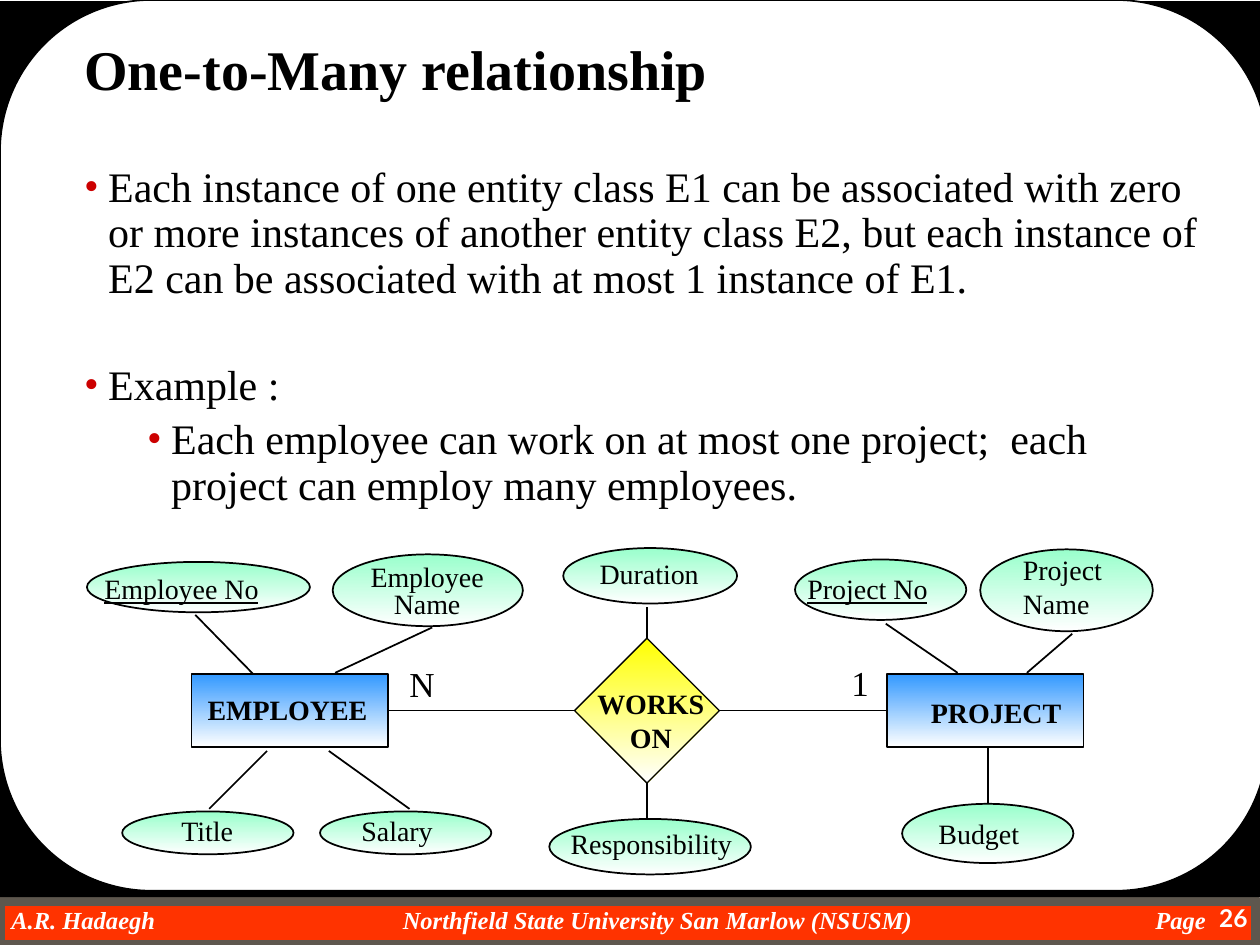
import lxml.etree
import pptx
import pptx.dml.color
import pptx.enum.shapes
import pptx.enum.text
import pptx.oxml.ns
import pptx.util

SHAPES = pptx.enum.shapes.MSO_SHAPE
ALIGN = pptx.enum.text.PP_ALIGN
TOP, LEFT, BOTTOM, RIGHT = range(4)
COLUMNS, ROWS = 100, 75
COLORS = {
    "black": "000000",
    "white": "FFFFFF",
    "footer": "FF3300",
    "footer edge": "5E574E",
    "bullet": "CC0000",
    "entity": "3399FF",
    "attribute": "99FFCC",
    "relationship": "FFFF00",
}


class Diagram:
    font_name = "Times New Roman"

    def __init__(self, presentation):
        self.column = presentation.slide_width / COLUMNS
        self.row = presentation.slide_height / ROWS
        self.slide = presentation.slides.add_slide(presentation.slide_layouts[6])

    def place(self, *lengths):
        units = (self.column, self.row) * 2
        return [round(length * unit) for length, unit in zip(lengths, units)]

    def color(self, name):
        return pptx.dml.color.RGBColor.from_string(COLORS[name])

    def shape(self, kind, box, fill, line=None, width=1, gradient=False):
        shape = self.slide.shapes.add_shape(kind, *self.place(*box))
        shape.shadow.inherit = False
        if gradient:
            shape.fill.gradient()
            shape.fill.gradient_angle = 270
            for stop, name, position in zip(shape.fill.gradient_stops, (fill, "white"), (0, 1)):
                stop.color.rgb = self.color(name)
                stop.position = position
        else:
            shape.fill.solid()
            shape.fill.fore_color.rgb = self.color(fill)
        if line:
            shape.line.color.rgb = self.color(line)
            shape.line.width = pptx.util.Pt(width)
        else:
            shape.line.fill.background()
        return shape

    def entity(self, box):
        return self.shape(SHAPES.RECTANGLE, box, "entity", "black", 0.75, True)

    def relationship(self, box):
        return self.shape(SHAPES.DIAMOND, box, "relationship", "black", 0.75, True)

    def attribute(self, box):
        return self.shape(SHAPES.OVAL, box, "attribute", "black", 1, True)

    def text(self, box, lines, size=16, color="black", font=None, align=ALIGN.LEFT,
             wrap=False, inset=True, spacing=None, **style):
        text_box = self.slide.shapes.add_textbox(*self.place(*box))
        frame = text_box.text_frame
        frame.word_wrap = wrap
        if not inset:
            frame.margin_left = frame.margin_right = frame.margin_top = frame.margin_bottom = 0
        for index, line in enumerate(lines):
            paragraph = frame.paragraphs[0] if index == 0 else frame.add_paragraph()
            paragraph.text = line
            paragraph.alignment = align
            paragraph.line_spacing = spacing
            paragraph.font.name = font or self.font_name
            paragraph.font.size = pptx.util.Pt(size)
            paragraph.font.color.rgb = self.color(color)
            for name, value in style.items():
                setattr(paragraph.font, name, value)
        return frame

    def bullet(self, frame, line, before, level=0):
        paragraph = frame.add_paragraph()
        paragraph.text = line
        paragraph.level = level
        paragraph.line_spacing = 0.9
        paragraph.space_before = pptx.util.Pt(before)
        paragraph.font.name = self.font_name
        paragraph.font.size = pptx.util.Pt(24)
        paragraph.font.color.rgb = self.color("black")
        qn = pptx.oxml.ns.qn
        properties = paragraph._p.get_or_add_pPr()
        properties.set("marL", str(pptx.util.Inches(0.19 + 0.5 * level)))
        properties.set("indent", str(pptx.util.Inches(-0.19)))
        bullet_color = lxml.etree.Element(qn("a:buClr"))
        lxml.etree.SubElement(bullet_color, qn("a:srgbClr"), val=COLORS["bullet"])
        bullet_font = lxml.etree.Element(qn("a:buFont"), typeface=self.font_name)
        bullet_character = lxml.etree.Element(qn("a:buChar"), char="•")
        position = len(properties.findall(qn("a:lnSpc")) + properties.findall(qn("a:spcBef")))
        for offset, element in enumerate((bullet_color, bullet_font, bullet_character)):
            properties.insert(position + offset, element)

    def line(self, start=(0, 0), end=(0, 0), begin_join=None, end_join=None):
        connector = self.slide.shapes.add_connector(
            pptx.enum.shapes.MSO_CONNECTOR.STRAIGHT, *self.place(*start, *end))
        if begin_join:
            connector.begin_connect(*begin_join)
        if end_join:
            connector.end_connect(*end_join)
        connector.line.color.rgb = self.color("black")
        connector.line.width = pptx.util.Pt(1)
        lxml.etree.SubElement(connector._element.spPr, pptx.oxml.ns.qn("a:effectLst"))


def draw_frame(diagram):
    diagram.shape(SHAPES.RECTANGLE, (0, 71.5, 99.7, 3.5), "footer", "footer edge", 6)
    for box, words, align in (
        ((0.9, 71.8, 20, 2.3), "A.R. Hadaegh", ALIGN.LEFT),
        ((27.2, 71.8, 50, 2.3), "Northfield State University San Marlow (NSUSM)", ALIGN.CENTER),
        ((85.7, 71.8, 10, 2.3), "Page", ALIGN.RIGHT),
    ):
        diagram.text(box, [words], 14, "white", align=align, wrap=True, inset=False,
                     bold=True, italic=True)
    diagram.shape(SHAPES.RECTANGLE, (0, 0.1, 100, 71.1), "black")
    panel = diagram.shape(SHAPES.ROUNDED_RECTANGLE, (0, 0, 100.6, 70.7), "white", "black")
    panel.adjustments[0] = 0.17
    diagram.text((92.5, 71.2, 7.5, 3.8), ["26"], 14, "white", "Lato", ALIGN.RIGHT, True, bold=True)


def draw_statement(diagram):
    frame = diagram.text((5.7, 3.3, 90.7, 38.2), ["One-to-Many relationship"], 32,
                         wrap=True, spacing=0.8, bold=True)
    diagram.bullet(frame, "Each instance of one entity class E1 can be associated with zero or more "
                   "instances of another entity class E2, but each instance of E2 can be "
                   "associated with at most 1 instance of E1.", 37)
    diagram.bullet(frame, "Example :", 35.5)
    diagram.bullet(frame, "Each employee can work on at most one project;  each project can "
                   "employ many employees.", 5, 1)


def draw_model(diagram):
    project = diagram.entity((70.4, 53.5, 15.6, 5.8))
    employee = diagram.entity((15.2, 53.5, 15.6, 5.8))
    works_on = diagram.relationship((45.6, 50.65, 11.5, 11.5))
    for box in (
        (71.6, 63.8, 13.6, 4.7),
        (43.6, 65, 16, 4.4),
        (63.1, 44.4, 13.6, 4.8),
        (77.8, 43.6, 13.7, 6.5),
        (6.9, 44.6, 17.7, 4),
        (26.4, 44, 15.1, 5.7),
        (25.4, 64.4, 13.6, 3.4),
        (9.7, 64.4, 13.6, 3.4),
        (44.7, 43.5, 13.8, 4.4),
    ):
        diagram.attribute(box)

    diagram.line(begin_join=(employee, RIGHT), end_join=(works_on, LEFT))
    diagram.line(begin_join=(project, LEFT), end_join=(works_on, RIGHT))
    diagram.line(end=(51.35, 65), begin_join=(works_on, BOTTOM))
    diagram.line(start=(51.35, 48.2), end_join=(works_on, TOP))
    for start, end in (
        ((78.4, 63.8), (78.4, 59.3)),
        ((70.3, 49.5), (76, 53.4)),
        ((85.1, 50.3), (81.5, 53.4)),
        ((15.5, 48.8), (20.1, 53.5)),
        ((34.3, 49.8), (26.6, 53.4)),
        ((21.2, 59.6), (16.6, 64.2)),
        ((26.1, 59.6), (32.5, 64.2)),
    ):
        diagram.line(start, end)

    for box, lines, style in (
        ((72.9, 54.7, 13.5, 3.6), ["PROJECT"], {"bold": True}),
        ((15.5, 54.5, 15, 3.6), ["EMPLOYEE"], {"bold": True}),
        ((46.4, 54, 10.5, 6.3), ["WORKS\vON"], {"bold": True, "align": ALIGN.CENTER}),
        ((73.5, 64.3, 9, 3.6), ["Budget"], {}),
        ((80.2, 43.4, 9, 6.3), ["Project", "Name"], {}),
        ((63.1, 44.9, 12, 3.6), ["Project No"], {"underline": True}),
        ((7.3, 44.9, 15, 3.6), ["Employee No"], {"underline": True}),
        ((28.4, 44.4, 11, 5.2), ["Employee", "Name"], {"align": ALIGN.CENTER, "spacing": 0.8}),
        ((27.7, 64.1, 8, 3.6), ["Salary"], {}),
        ((13.4, 64.1, 6.5, 3.6), ["Title"], {}),
        ((44.3, 65.1, 15.5, 3.6), ["Responsibility"], {}),
        ((46.6, 43.7, 10.5, 3.6), ["Duration"], {}),
        ((31.5, 52.1, 4, 4.3), ["N"], {"size": 20}),
        ((66.6, 52, 3.4, 4.3), ["1"], {"size": 20}),
    ):
        diagram.text(box, lines, **style)


def main():
    presentation = pptx.Presentation()
    presentation.slide_width = pptx.util.Inches(10)
    presentation.slide_height = pptx.util.Inches(7.5)
    diagram = Diagram(presentation)
    draw_frame(diagram)
    draw_statement(diagram)
    draw_model(diagram)
    presentation.save("out.pptx")


if __name__ == "__main__":
    main()
